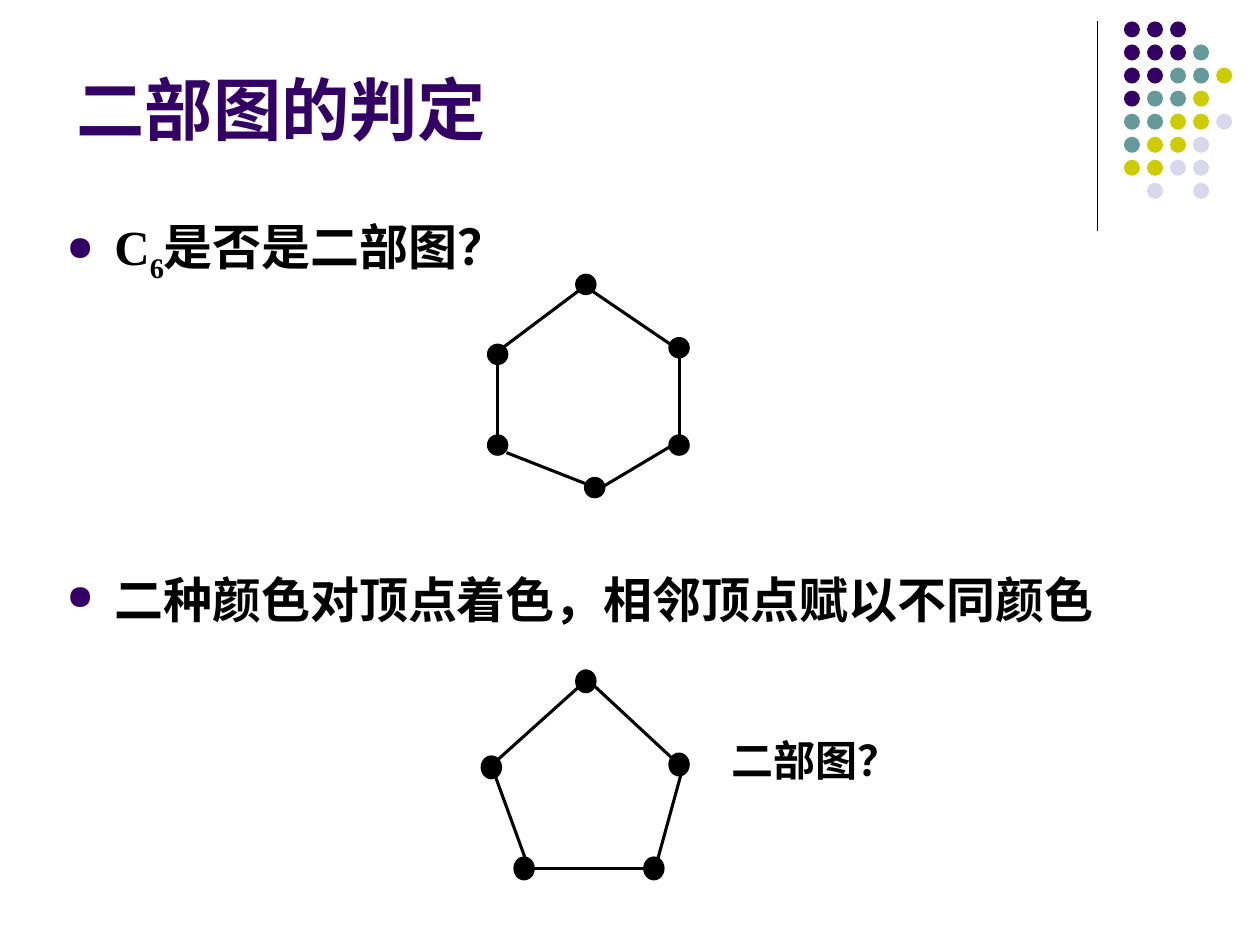
"""Build a slide on deciding whether a cycle graph is bipartite."""
from lxml import etree
from pptx import Presentation
from pptx import util as u
from pptx.dml.color import RGBColor
from pptx.enum import shapes, text
from pptx.oxml import ns

THEME = {
    "font": "Times New Roman",
    "title_size": 39, "body_size": 28, "label_size": 24,
    "ink": "000000", "accent": "330066",
    "dots": {"P": "330066", "T": "669999", "Y": "CCCC00", "L": "D8D8EC"},
    "thin": 0.75, "edge": 1.75,
}
WIDTH, HEIGHT = 10, 7.5

TITLE = ("二部图的判定", (5.1, 4.8, 82.5, 11.6))
BULLETS = [
    ([("C", 0), ("6", -25000), ("是否是二部图？", 0)], (4.3, 21.6, 92.9, 9.5), 1.1),
    ([("二种颜色对顶点着色，相邻顶点赋以不同颜色", 0)], (4.3, 58.4, 92.9, 10.5), 1.2),
]
LABEL = ("二部图？", (57.1, 77.1, 16.5, 7.7))

DOT_ROWS = ["PPP", "PPPT", "PPTTY", "PTTY", "TTYYL", "TYYL", "YYLL", " L L"]
DOT_ORIGIN, DOT_PITCH, DOT_SIZE = (89.2, 2.27), (1.83, 2.44), (1.27, 1.7)
DIVIDER = (87.1, 2.27, 87.1, 24.4)

HEXAGON = {
    "node": (1.6, 2.13),
    "centres": [(46.5, 30.1), (53.9, 36.8), (53.9, 47.1),
                (47.2, 51.6), (39.5, 47.1), (39.5, 37.5)],
    "edges": [(47, 30.8, 53.5, 36.7), (53.9, 37.6, 53.9, 46), (47.6, 51.7, 54.4, 46.3),
              (40.2, 47.9, 46.5, 51.2), (39.5, 37.6, 39.5, 46), (40, 36.7, 45.9, 30.8)],
}
PENTAGON = {
    "node": (1.6, 2.4),
    "centres": [(46.5, 72.1), (53.9, 80.9), (51.9, 91.9), (41.6, 91.9), (39, 81.2)],
    "edges": [(47.1, 72.5, 53.4, 80.3), (54.1, 81.7, 52, 91.9), (42.4, 91.9, 51.1, 91.9),
              (39.3, 82.1, 42.2, 92.7), (39.5, 80.4, 47.1, 71.3)],
}


def place(values):
    """Turn alternating percentages of slide width and height into lengths."""
    return [u.Inches(value * (HEIGHT if index % 2 else WIDTH) / 100)
            for index, value in enumerate(values)]


def color(value):
    """Return a colour from its hexadecimal name."""
    return RGBColor.from_string(value)


def add_line(container, ends, width):
    """Draw a straight line without a shadow."""
    line = container.add_connector(shapes.MSO_CONNECTOR.STRAIGHT, *place(ends))
    line.line.color.rgb = color(THEME["ink"])
    line.line.width = u.Pt(width)
    etree.SubElement(line._element.spPr, ns.qn("a:effectLst"))


def add_circle(container, kind, box, fill, outlined):
    """Draw a filled round shape."""
    shape = container.add_shape(kind, *place(box))
    shape.shadow.inherit = False
    shape.fill.solid()
    shape.fill.fore_color.rgb = color(fill)
    if outlined:
        shape.line.color.rgb = color(THEME["ink"])
        shape.line.width = u.Pt(THEME["thin"])
    else:
        shape.line.fill.background()


def add_text(container, runs, box, size, ink):
    """Add a bold one-paragraph text box and return its frame."""
    frame = container.add_textbox(*place(box)).text_frame
    frame.word_wrap = True
    paragraph = frame.paragraphs[0]
    font = paragraph.font
    font.name, font.size, font.bold = THEME["font"], u.Pt(size), True
    font.color.rgb = color(ink)
    for words, baseline in runs:
        run = paragraph.add_run()
        run.text = words
        if baseline:
            run._r.get_or_add_rPr().set("baseline", str(baseline))
    return frame


def add_bullet(container, runs, box, spacing):
    """Add a justified text box with a coloured bullet."""
    frame = add_text(container, runs, box, THEME["body_size"], THEME["ink"])
    paragraph = frame.paragraphs[0]
    paragraph.alignment = text.PP_ALIGN.JUSTIFY
    paragraph.line_spacing = spacing
    paragraph.space_before = u.Pt(7)
    properties = paragraph._p.get_or_add_pPr()
    properties.set("marL", str(u.Inches(0.38)))
    properties.set("indent", str(-u.Inches(0.38)))
    bullet = [etree.Element(ns.qn(f"a:{tag}")) for tag in ("buClr", "buSzPct", "buChar")]
    etree.SubElement(bullet[0], ns.qn("a:srgbClr")).set("val", THEME["accent"])
    bullet[1].set("val", "70000")
    bullet[2].set("char", "●")
    for position, element in enumerate(bullet, start=2):
        properties.insert(position, element)


def add_graph(container, graph):
    """Draw the edges and vertices of a cycle."""
    for ends in graph["edges"]:
        add_line(container, ends, THEME["edge"])
    width, height = graph["node"]
    for x, y in graph["centres"]:
        add_circle(container, shapes.MSO_SHAPE.FLOWCHART_CONNECTOR,
                   (x - width / 2, y - height / 2, width, height), THEME["ink"], True)


def add_dots(container):
    """Draw the corner grid of coloured dots."""
    for row, codes in enumerate(DOT_ROWS):
        for column, code in enumerate(codes):
            if code != " ":
                corner = (DOT_ORIGIN[0] + column * DOT_PITCH[0],
                          DOT_ORIGIN[1] + row * DOT_PITCH[1])
                add_circle(container, shapes.MSO_SHAPE.OVAL, corner + DOT_SIZE,
                           THEME["dots"][code], False)


def main():
    """Assemble and save the slide."""
    presentation = Presentation()
    presentation.slide_width, presentation.slide_height = u.Inches(WIDTH), u.Inches(HEIGHT)
    slide = presentation.slides.add_slide(presentation.slide_layouts[6])
    add_line(slide.shapes, DIVIDER, THEME["thin"])
    add_dots(slide.shapes.add_group_shape().shapes)
    words, box = TITLE
    title = add_text(slide.shapes, [(words, 0)], box, THEME["title_size"], THEME["accent"])
    title.vertical_anchor = text.MSO_ANCHOR.BOTTOM
    for bullet in BULLETS:
        add_bullet(slide.shapes, *bullet)
    add_graph(slide.shapes, HEXAGON)
    group = slide.shapes.add_group_shape().shapes
    add_graph(group, PENTAGON)
    words, box = LABEL
    label = add_text(group, [(words, 0)], box, THEME["label_size"], THEME["ink"])
    label.paragraphs[0].alignment = text.PP_ALIGN.JUSTIFY
    presentation.save("out.pptx")


if __name__ == "__main__":
    main()
